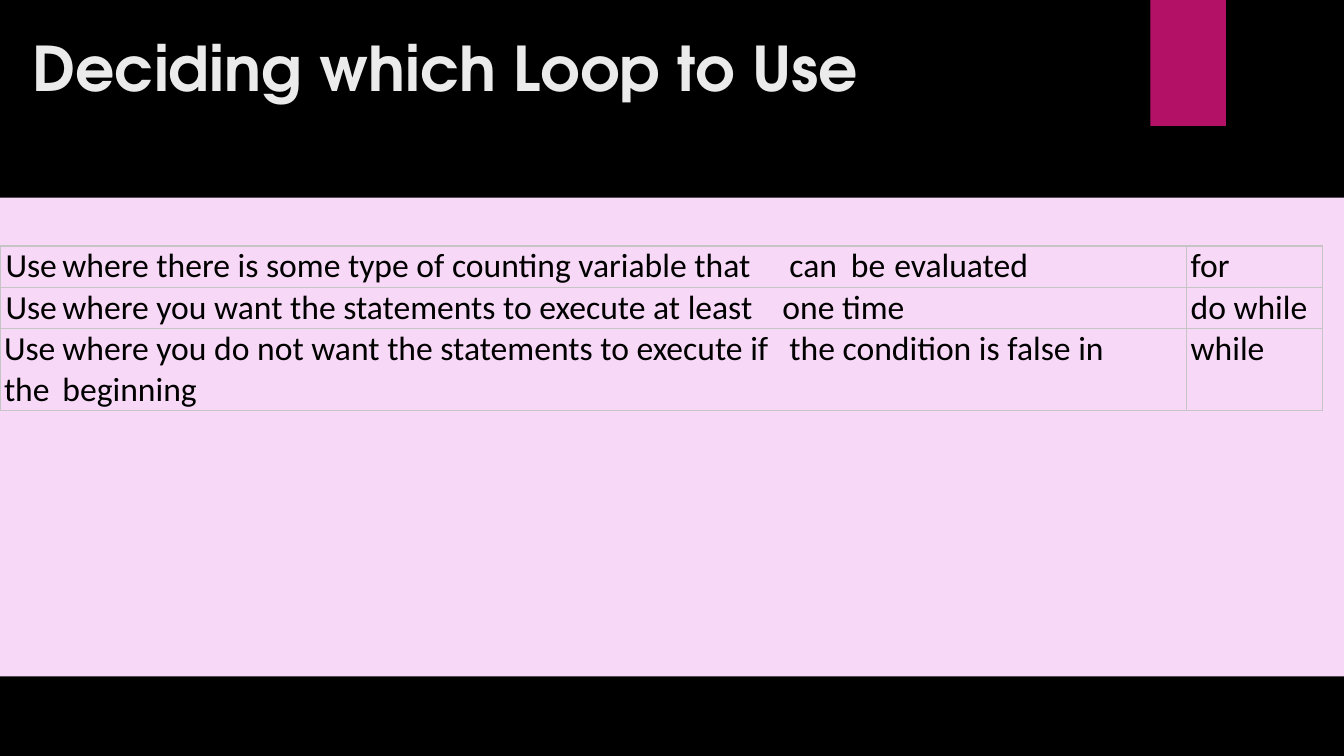
from lxml.etree import SubElement
from pptx import Presentation
from pptx.dml.color import RGBColor
from pptx.enum.shapes import MSO_SHAPE as Preset
from pptx.enum.text import PP_ALIGN as Align
from pptx.oxml.ns import qn
from pptx.util import Inches, Pt

COLORS = {
    "background": "000000",
    "accent": "B31166",
    "panel": "F7D8F6",
    "title": "EBEBEB",
    "text": "000000",
    "border": "C5C5C5",
}


def add_block(color, left, top, width, height):
    block = slide.shapes.add_shape(
        Preset.RECTANGLE, Inches(left), Inches(top), Inches(width), Inches(height))
    block.shadow.inherit = False
    block.fill.solid()
    block.fill.fore_color.rgb = RGBColor.from_string(COLORS[color])
    block.line.fill.background()


def set_borders(cell, visible_sides):
    properties = cell._tc.get_or_add_tcPr()
    for position, side in enumerate("LRTB"):
        border = properties.makeelement(qn(f"a:ln{side}"), {"w": str(Pt(1))})
        properties.insert(position, border)
        if side in visible_sides:
            paint = SubElement(border, qn("a:solidFill"))
            SubElement(paint, qn("a:srgbClr"), val=COLORS["border"])
        else:
            SubElement(border, qn("a:noFill"))


deck = Presentation()
deck.slide_width, deck.slide_height = Inches(13.33), Inches(7.5)
slide = deck.slides.add_slide(deck.slide_layouts[6])
slide.background.fill.solid()
slide.background.fill.fore_color.rgb = RGBColor.from_string(COLORS["background"])

add_block("accent", 11.41, 0, 0.75, 1.25)
add_block("panel", 0, 1.96, 13.33, 4.75)

title = slide.shapes.add_textbox(
    Inches(0.22), Inches(0.25), Inches(10.29), Inches(1.53)).text_frame
title.word_wrap = True
title.text = "Deciding which Loop to Use"
title_font = title.paragraphs[0].runs[0].font
title_font.name, title_font.size, title_font.bold = "TeX Gyre Adventor", Pt(44), True
title_font.color.rgb = RGBColor.from_string(COLORS["title"])

column_widths = [0.58, 7.18, 0.64, 0.43, 2.94, 1.35]
row_heights = [0.41, 0.41, 0.81]
indents = [0.04, 0.04, 0.07, 0.04, 0.04, 0.04]
side_borders = ["L", "", "", "", "R", "LR"]
advice = [
    ["Use", "where there is some type of counting variable that",
     "can", "be", "evaluated", "for"],
    ["Use", "where you want the statements to execute at least",
     "one time", "", "", "do while"],
    ["Use the", "where you do not want the statements to execute if beginning",
     "the condition is false in", "", "", "while"],
]

loops = slide.shapes.add_table(
    len(advice), len(column_widths), 0, Inches(2.44),
    Inches(sum(column_widths)), Inches(sum(row_heights))).table
loops.first_row = loops.horz_banding = False
for column, width in zip(loops.columns, column_widths):
    column.width = Inches(width)
for row, height in zip(loops.rows, row_heights):
    row.height = Inches(height)

for row_index, phrases in enumerate(advice):
    for column_index, phrase in enumerate(phrases):
        cell = loops.cell(row_index, column_index)
        cell.margin_right = cell.margin_top = cell.margin_bottom = 0
        cell.margin_left = Inches(0 if phrase == "one time" else indents[column_index])
        cell.fill.background()
        is_merged_start = column_index == 2 and row_index > 0
        set_borders(cell, "TB" + ("R" if is_merged_start else side_borders[column_index]))
        if phrase:
            cell.text_frame.text = phrase
            paragraph = cell.text_frame.paragraphs[0]
            paragraph.alignment = Align.CENTER if phrase == "Use" else Align.LEFT
            font = paragraph.runs[0].font
            font.name, font.size = "Calibri", Pt(24)
            font.color.rgb = RGBColor.from_string(COLORS["text"])
    if row_index > 0:
        loops.cell(row_index, 2).merge(loops.cell(row_index, 4))

deck.save("out.pptx")
